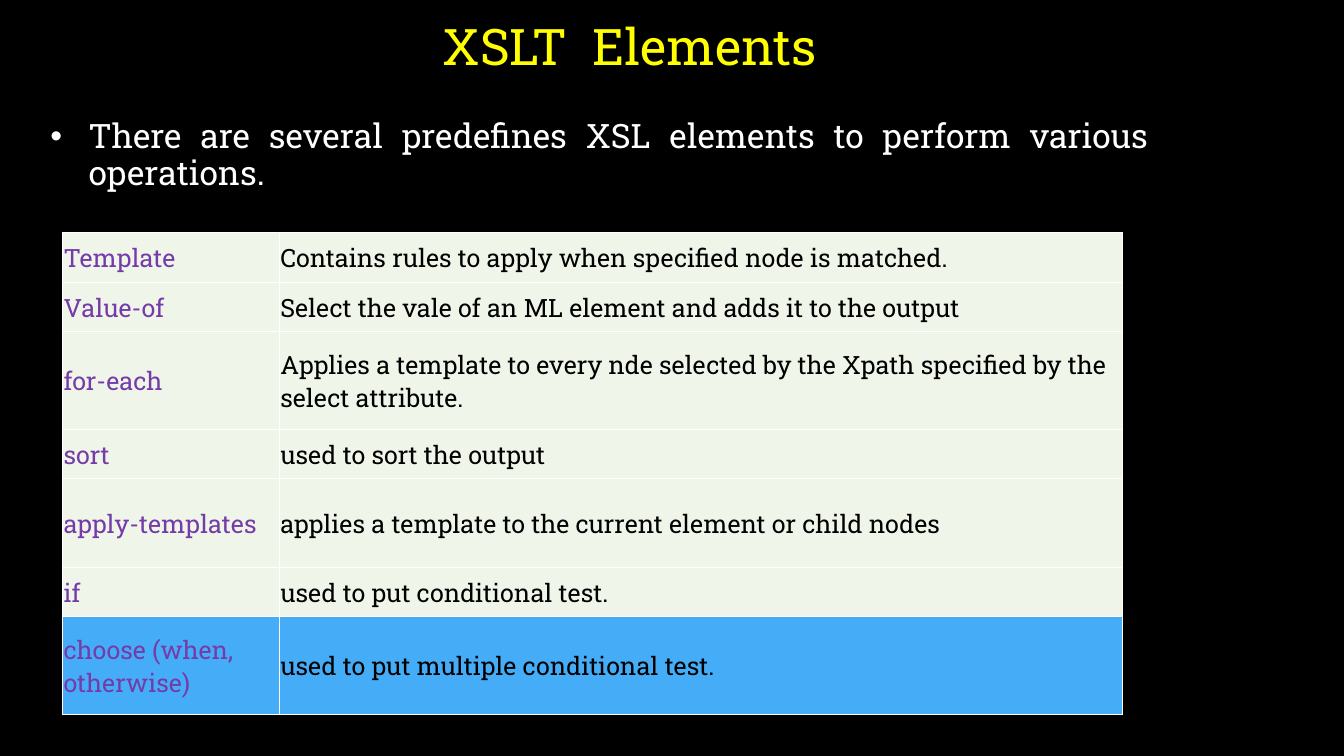
from lxml import etree
from pptx import Presentation
from pptx import util as u
from pptx.dml.color import RGBColor
from pptx.enum import text
from pptx.oxml.ns import qn

PX = 9144  # 100 px to the inch
FONT = "Roboto Slab"
WHITE, BLACK, YELLOW, PURPLE = "FFFFFF", "000000", "FFFF00", "743BA9"
PALE, BLUE = "F0F5E9", "45ADF8"


def paint(fill, colour):
    fill.solid()
    fill.fore_color.rgb = RGBColor.from_string(colour)


def write(paragraph, words, size, colour):
    run = paragraph.add_run()
    run.text = words
    run.font.name = FONT
    run.font.size = u.Pt(size)
    paint(run.font.fill, colour)


deck = Presentation()
deck.slide_width, deck.slide_height = 1333 * PX, 750 * PX
slide = deck.slides.add_slide(deck.slide_layouts[6])
paint(slide.background.fill, BLACK)

# Title and introduction
headings = [
    (70, 17, 71, "XSLT  Elements", 36, YELLOW, text.PP_ALIGN.CENTER, False),
    (40, 114, 91,
     "There are several predefines XSL elements to perform various operations.",
     24, WHITE, text.PP_ALIGN.JUSTIFY, True),
]
for left, top, height, words, size, colour, align, bulleted in headings:
    box = slide.shapes.add_textbox(left * PX, top * PX, 1109 * PX, height * PX)
    frame = box.text_frame
    frame.word_wrap = True
    frame.auto_size = text.MSO_AUTO_SIZE.SHAPE_TO_FIT_TEXT
    paragraph = frame.paragraphs[0]
    paragraph.alignment = align
    paragraph.line_spacing = 0.9
    if bulleted:
        props = paragraph._p.get_or_add_pPr()
        props.set("marL", str(38 * PX))
        props.set("indent", str(-38 * PX))
        etree.SubElement(props, qn("a:buFont"), typeface="Arial")
        etree.SubElement(props, qn("a:buChar"), char="•")
    write(paragraph, words, size, colour)

# Element table: row height, element, purpose
elements = [
    (49, "Template", "Contains rules to apply when specified node is matched."),
    (49, "Value-of", "Select the vale of an ML element and adds it to the output"),
    (97, "for-each", "Applies a template to every nde selected by the Xpath "
                     "specified by the select attribute."),
    (49, "sort", "used to sort the output"),
    (88, "apply-templates", "applies a template to the current element or child nodes"),
    (49, "if", "used to put conditional test."),
    (97, "choose (when, otherwise)", "used to put multiple conditional test."),
]
table_height = sum(height for height, *_ in elements)
table = slide.shapes.add_table(
    len(elements), 2, 62 * PX, 231 * PX, 1051 * PX, table_height * PX).table
table.first_row = table.horz_banding = False
for column, width in zip(table.columns, (215, 836)):
    column.width = width * PX

for row, (height, element, purpose) in zip(table.rows, elements):
    row.height = height * PX
    row_fill = BLUE if element.startswith("choose") else PALE
    for cell, words, colour in zip(row.cells, (element, purpose), (PURPLE, BLACK)):
        cell.vertical_anchor = text.MSO_ANCHOR.MIDDLE
        cell.margin_left = cell.margin_right = cell.margin_top = PX
        cell.margin_bottom = 0
        write(cell.text_frame.paragraphs[0], words, 18, colour)
        props = cell._tc.get_or_add_tcPr()
        for side in ("a:lnL", "a:lnR", "a:lnT", "a:lnB"):
            border = etree.SubElement(props, qn(side), w=str(u.Pt(1)))
            line_fill = etree.SubElement(border, qn("a:solidFill"))
            etree.SubElement(line_fill, qn("a:srgbClr"), val=WHITE)
        paint(cell.fill, row_fill)

deck.save("out.pptx")
